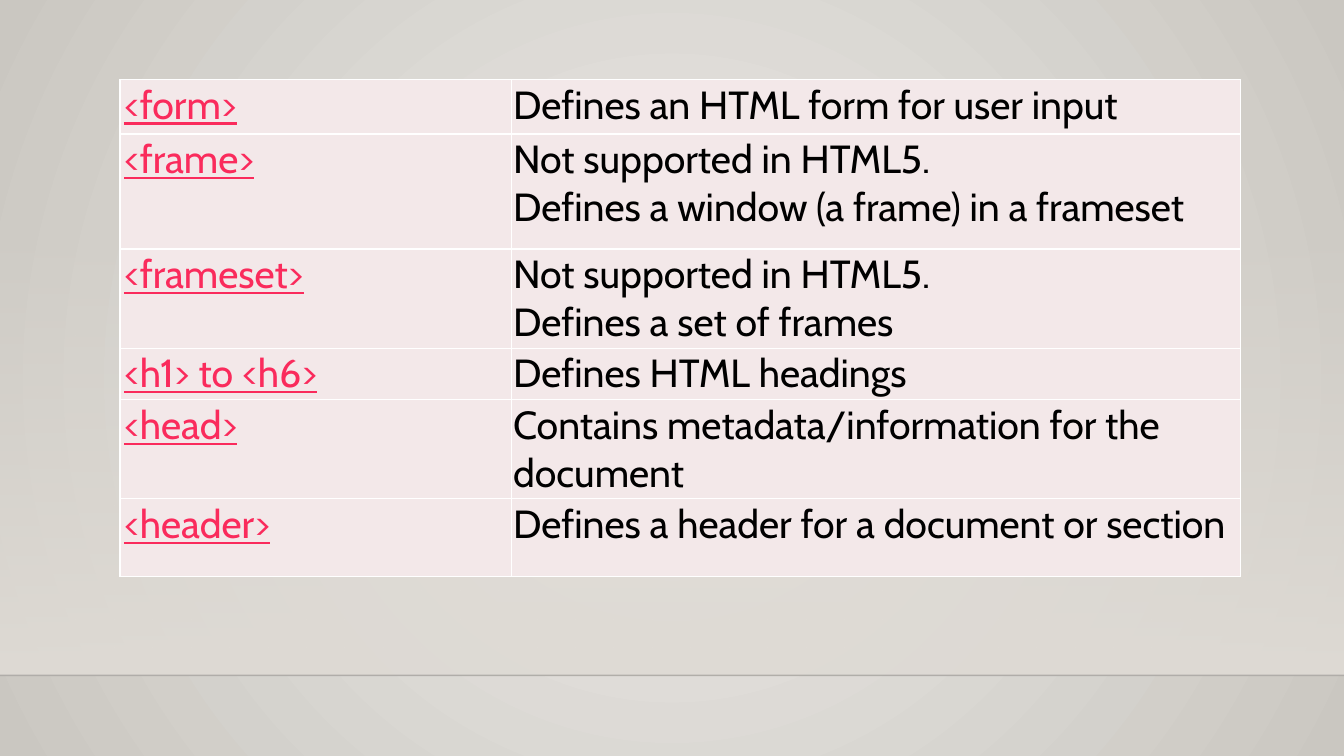
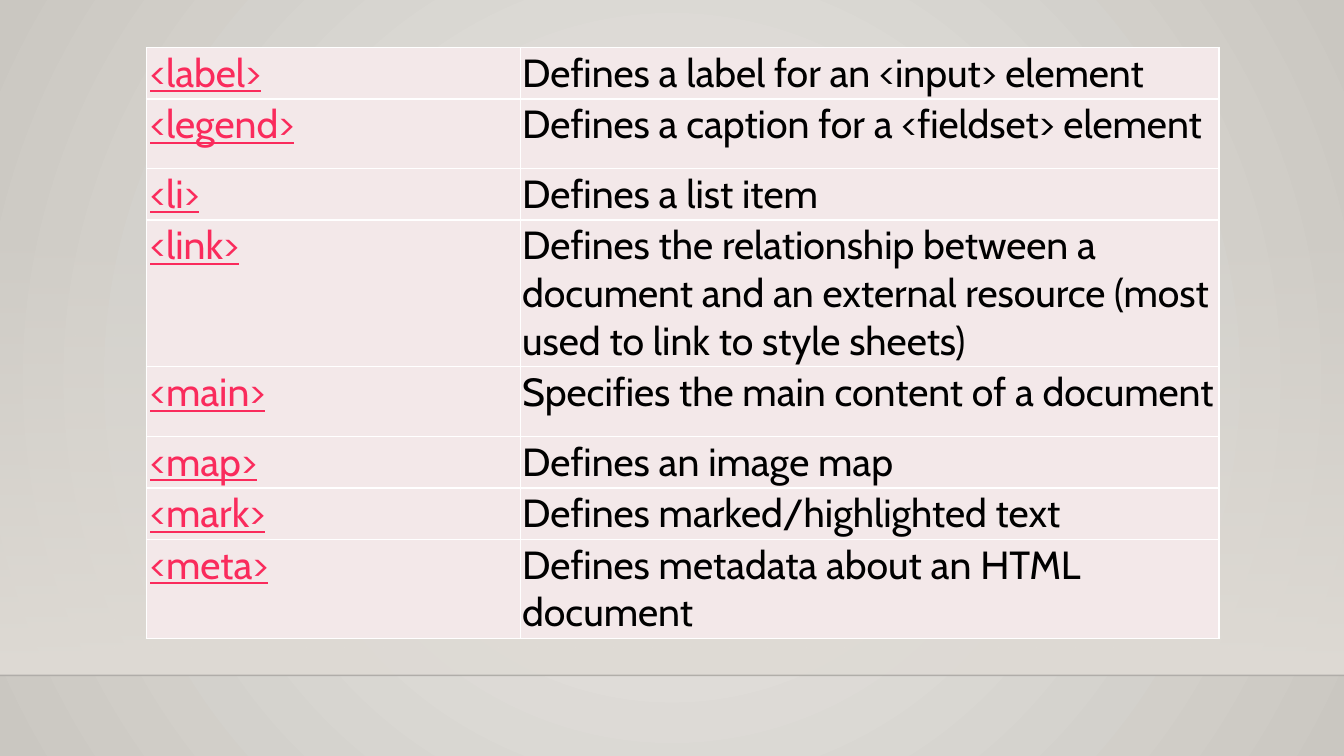
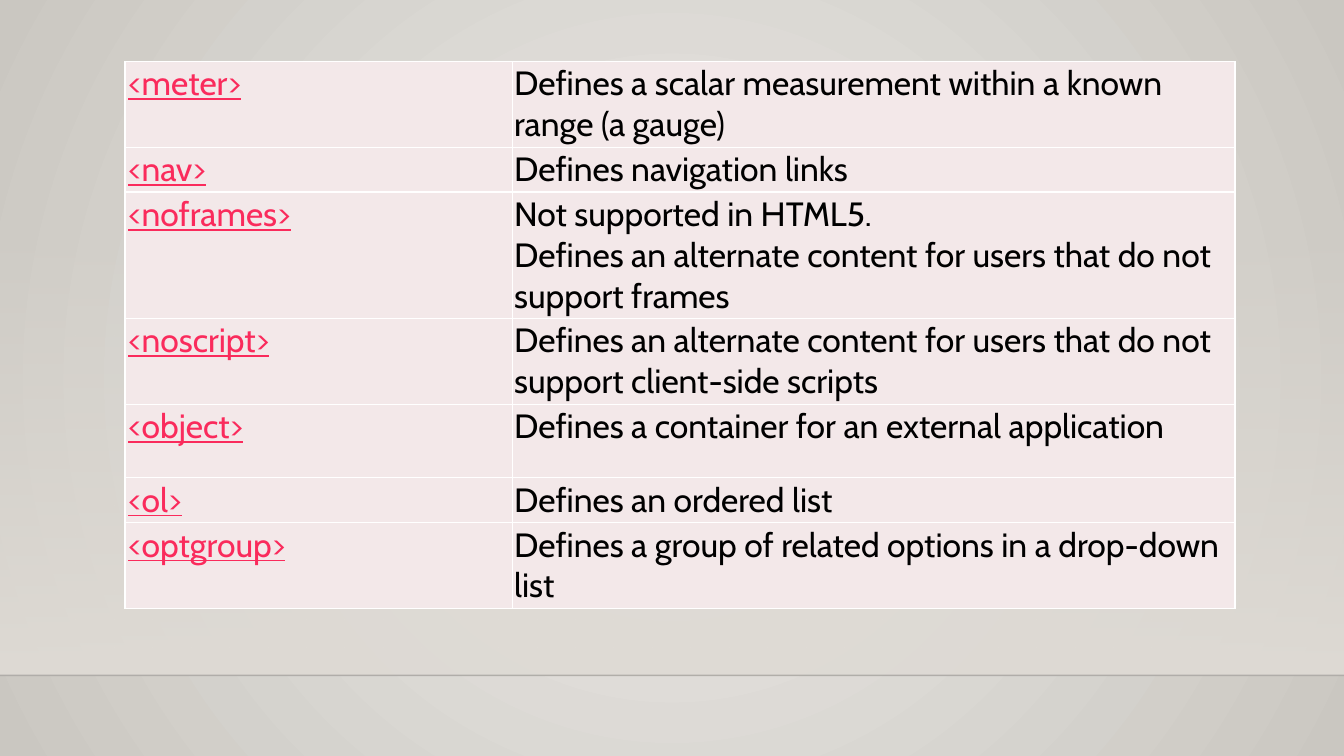
from lxml.etree import SubElement
from pptx import Presentation
from pptx.dml.color import RGBColor
from pptx.enum.shapes import MSO_CONNECTOR, MSO_SHAPE
from pptx.oxml.ns import qn
from pptx.util import Inches, Pt


def rgb(hex_text):
    """Return the colour for a hex string."""
    return RGBColor.from_string(hex_text)


def set_alpha(color_element, percent):
    """Give a colour element an opacity in percent."""
    SubElement(color_element, qn("a:alpha"), val=str(percent * 1000))


class Deck:
    """Holds the shared style and the current slide."""

    FONT = "Cabin"
    TAG, TEXT = "FA2B5C", "000000"
    CELL, BORDER = "F3E8E9", "FFFFFF"
    CENTER, EDGE = "ECEAE7", "CAC7C1"
    WALL, FLOOR_LINE = "DFDBD5", "000001"
    WIDTH, FLOOR = 13.33, 6.7

    def __init__(self):
        """Start the presentation and set its size and background."""
        self.prs = Presentation()
        self.prs.slide_width = Inches(self.WIDTH)
        self.prs.slide_height = Inches(7.5)
        self.background()

    def background(self):
        """Put the round gradient on the slide master."""
        bg = self.prs.slide_master.background
        self.gradient(bg.fill, self.CENTER, self.EDGE)
        grad = bg._cSld.find(".//" + qn("a:gradFill"))
        grad.remove(grad.find(qn("a:lin")))
        circle = SubElement(grad, qn("a:path"), {"path": "circle"})
        SubElement(circle, qn("a:fillToRect"),
                   {side: "50000" for side in "ltrb"})

    def gradient(self, fill, *colors):
        """Fill with a gradient between two colours."""
        fill.gradient()
        for stop, color, place in zip(fill.gradient_stops, colors, (0, 1)):
            stop.color.rgb = rgb(color)
            stop.position = place

    def slide(self):
        """Add a slide with the wall and the floor line."""
        self.s = self.prs.slides.add_slide(self.prs.slide_layouts[6])
        self.wall(2.21)
        self.floor_line()

    def wall(self, top):
        """Draw the band that fades in from its top to the floor."""
        sp = self.s.shapes.add_shape(
            MSO_SHAPE.RECTANGLE, 0, Inches(top),
            Inches(self.WIDTH), Inches(self.FLOOR - top))
        sp.shadow.inherit = False
        sp.line.fill.background()
        self.gradient(sp.fill, self.WALL, self.WALL)
        sp.fill.gradient_angle = 270
        set_alpha(sp._element.spPr.find(".//" + qn("a:srgbClr")), 0)

    def floor_line(self):
        """Draw the faint line across the slide."""
        y = Inches(self.FLOOR)
        line = self.s.shapes.add_connector(
            MSO_CONNECTOR.STRAIGHT, 0, y, Inches(self.WIDTH), y)
        line.line.color.rgb = rgb(self.FLOOR_LINE)
        line.line.width = Pt(1)
        props = line._element.spPr
        set_alpha(props.find(".//" + qn("a:srgbClr")), 20)
        SubElement(props, qn("a:effectLst"))

    def table(self, left, top, widths, heights, rows, size, indent):
        """Draw a table of tags and what they mean."""
        table = self.s.shapes.add_table(
            len(rows), 2, Inches(left), Inches(top),
            Inches(sum(widths)), Inches(sum(heights))).table
        table.first_row = table.horz_banding = False
        for column, width in zip(table.columns, widths):
            column.width = Inches(width)
        for row, height, (tag, meaning) in zip(table.rows, heights, rows):
            row.height = Inches(height)
            tag_cell, meaning_cell = row.cells
            self.cell(tag_cell, tag, size, self.TAG, True, indent)
            self.cell(meaning_cell, meaning, size, self.TEXT, False, 0.02)

    def cell(self, cell, text, size, color, underline, indent):
        """Fill one cell, with a line break at each newline."""
        cell.margin_left = Inches(indent)
        cell.margin_right = cell.margin_top = cell.margin_bottom = Inches(0.02)
        self.borders(cell)
        cell.fill.solid()
        cell.fill.fore_color.rgb = rgb(self.CELL)
        p = cell.text_frame.paragraphs[0]
        for i, line in enumerate(text.split("\n")):
            if i:
                p.add_line_break()
            r = p.add_run()
            r.text = line
            r.font.name = self.FONT
            r.font.size = Pt(size)
            r.font.underline = underline
            r.font.color.rgb = rgb(color)

    def borders(self, cell):
        """Draw thin lines on all four sides of a cell."""
        props = cell._tc.get_or_add_tcPr()
        for side in ("lnL", "lnR", "lnT", "lnB"):
            ln = SubElement(props, qn("a:" + side), w=str(Pt(1)))
            fill = SubElement(ln, qn("a:solidFill"))
            SubElement(fill, qn("a:srgbClr"), val=self.BORDER)


FORM_TO_HEADER = [
    ("<form>", "Defines an HTML form for user input"),
    ("<frame>", "Not supported in HTML5.\n"
                "Defines a window (a frame) in a frameset"),
    ("<frameset>", "Not supported in HTML5.\nDefines a set of frames"),
    ("<h1> to <h6>", "Defines HTML headings"),
    ("<head>", "Contains metadata/information for the document"),
    ("<header>", "Defines a header for a document or section"),
]
LABEL_TO_META = [
    ("<label>", "Defines a label\u00a0for an <input> element"),
    ("<legend>", "Defines a caption for a <fieldset> element"),
    ("<li>", "Defines a list item"),
    ("<link>", "Defines the relationship between a document and an external "
               "resource (most used to link to style sheets)"),
    ("<main>", "Specifies the main content of a document"),
    ("<map>", "Defines an image map"),
    ("<mark>", "Defines marked/highlighted text"),
    ("<meta>", "Defines metadata about an HTML document"),
]
METER_TO_OPTGROUP = [
    ("<meter>", "Defines a scalar measurement within a known range (a gauge)"),
    ("<nav>", "Defines navigation links"),
    ("<noframes>", "Not supported in HTML5.\nDefines an alternate content "
                   "for users that do not support frames"),
    ("<noscript>", "Defines an alternate content for users that do not "
                   "support client-side scripts"),
    ("<object>", "Defines a container for an external application"),
    ("<ol>", "Defines an ordered list"),
    ("<optgroup>", "Defines a group of related options in a drop-down list"),
]

deck = Deck()

deck.slide()
deck.table(1.19, 0.79, (3.88, 7.23), (0.54, 1.14, 0.98, 0.51, 0.98, 0.77),
           FORM_TO_HEADER, size=28, indent=0.04)

deck.slide()
deck.table(1.45, 0.47, (3.71, 6.93),
           (0.5, 0.69, 0.5, 1.45, 0.69, 0.5, 0.5, 0.97),
           LABEL_TO_META, size=28, indent=0.04)

deck.slide()
deck.table(1.24, 0.61, (3.84, 7.17),
           (0.84, 0.43, 1.24, 0.84, 0.73, 0.43, 0.84),
           METER_TO_OPTGROUP, size=24, indent=0.03)

deck.prs.save("out.pptx")
